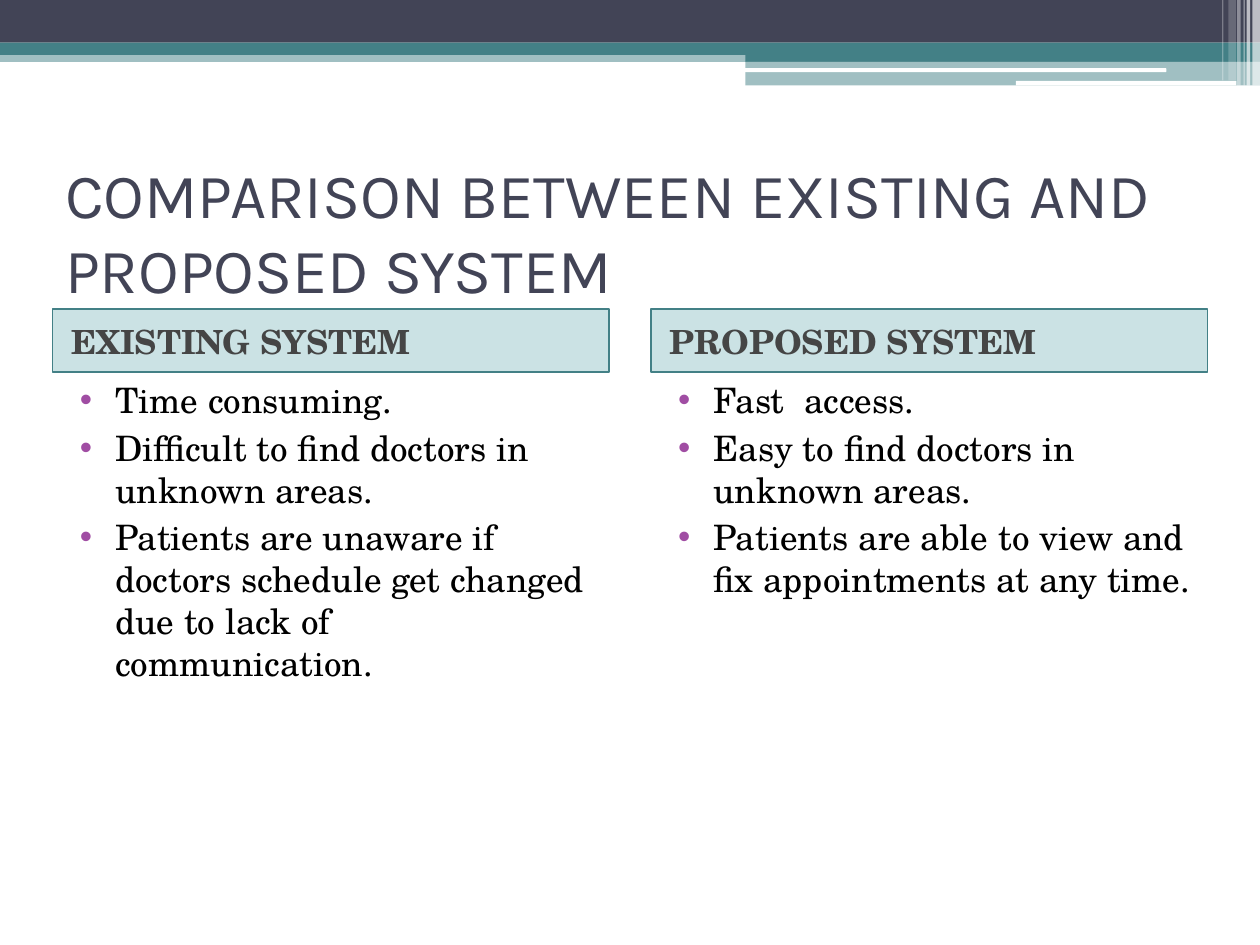
from lxml.etree import SubElement
from pptx import Presentation
from pptx.dml.color import RGBColor
from pptx.enum.shapes import MSO_SHAPE as Shape
from pptx.enum.text import MSO_ANCHOR as Anchor, MSO_AUTO_SIZE as AutoSize, PP_ALIGN as Align
from pptx.oxml.ns import qn
from pptx.util import Pt

NAVY = RGBColor(0x42, 0x44, 0x56)
TEAL = RGBColor(0x43, 0x80, 0x86)
AQUA = RGBColor(0x32, 0x8E, 0x97)
PURPLE = RGBColor(0xA0, 0x4D, 0xA3)
GRAY = RGBColor(0x45, 0x45, 0x45)
BLACK = RGBColor(0, 0, 0)
WHITE = RGBColor(255, 255, 255)
SERIF = "TeX Gyre Schola"


def add_bar(left, top, width, height, color, opacity=100, kind=Shape.RECTANGLE):
    bar = page.shapes.add_shape(kind, Pt(left), Pt(top), Pt(width), Pt(height))
    bar.shadow.inherit = False
    bar.fill.solid()
    bar.fill.fore_color.rgb = color
    bar.line.fill.background()
    if opacity < 100:
        tint = bar.element.spPr.find(qn("a:solidFill")).find(qn("a:srgbClr"))
        SubElement(tint, qn("a:alpha"), val=str(opacity * 1000))
    return bar


def write(box, lines, font=SERIF, size=20, color=BLACK, bold=False,
          anchor=Anchor.TOP, before=3, indent=0, hanging=0, bullet=None):
    frame = box.text_frame
    frame.word_wrap = True
    frame.auto_size = AutoSize.NONE
    frame.vertical_anchor = anchor
    for number, line in enumerate(lines):
        para = frame.add_paragraph() if number else frame.paragraphs[0]
        para.alignment = Align.LEFT
        para.space_before = Pt(before)
        props = para._p.get_or_add_pPr()
        props.set("marL", str(Pt(indent)))
        props.set("indent", str(Pt(-hanging)))
        if bullet:
            bullet_color = SubElement(props, qn("a:buClr"))
            SubElement(bullet_color, qn("a:srgbClr"), val=str(PURPLE))
            SubElement(props, qn("a:buFont"), typeface="Arial")
            SubElement(props, qn("a:buChar"), char=bullet)
        span = para.add_run()
        span.text = line
        span.font.name = font
        span.font.size = Pt(size)
        span.font.bold = bold
        span.font.color.rgb = color


deck = Presentation()
deck.slide_width, deck.slide_height = Pt(720), Pt(540)
page = deck.slides.add_slide(deck.slide_layouts[5])

# Header bands
for left, top, width, height, color, opacity in [
    (0, 28.8, 720, 6.6, TEAL, 50),
    (0, 0, 720, 24.4, NAVY, 100),
    (0, 24.4, 720, 7, TEAL, 100),
    (426, 28, 294, 7.2, TEAL, 100),
    (426, 34.8, 294, 14, TEAL, 50),
]:
    add_bar(left, top, width, height, color, opacity)

# White strips across the lower bands
for left, top, width, height in [(425.5, 39, 241, 2.2), (580.5, 46.2, 126, 2.6)]:
    add_bar(left, top, width, height, WHITE, kind=Shape.ROUNDED_RECTANGLE)

# Translucent stripes at the right edge
for left, width, height, opacity in [
    (715.7, 4.3, 49, 65),
    (712.4, 2, 49, 65),
    (710.6, 0.7, 49, 60),
    (707, 2, 49, 40),
    (702, 4.3, 46, 20),
    (698.4, 0.7, 46, 30),
]:
    add_bar(left, 0, width, height, WHITE, opacity)

# Title
title = page.shapes.title
title.left, title.top, title.width, title.height = Pt(30), Pt(90), Pt(660), Pt(84)
write(title, ["COMPARISON BETWEEN EXISTING AND PROPOSED SYSTEM"],
      font="Karla", size=36, color=NAVY, anchor=Anchor.MIDDLE, before=0)

# Two columns: heading bar and bullet list
columns = [
    ("EXISTING SYSTEM", [
        "Time consuming.",
        "Difficult to find doctors in unknown areas.",
        "Patients are unaware if doctors schedule get changed due to lack of communication.",
    ]),
    ("PROPOSED SYSTEM", [
        "Fast  access.",
        "Easy to find doctors in unknown areas.",
        "Patients are able to view and fix appointments at any time.",
    ]),
]
COLUMN_WIDTH, COLUMN_STEP = 318.2, 341.8
for column, (heading, points) in enumerate(columns):
    left = 30 + column * COLUMN_STEP
    header = add_bar(left, 176.8, COLUMN_WIDTH, 36, AQUA, 25)
    header.line.color.rgb = TEAL
    header.line.width = Pt(1)
    write(header, [heading], size=19, color=GRAY, bold=True,
          anchor=Anchor.MIDDLE, indent=3.6)
    box = page.shapes.add_textbox(Pt(left), Pt(213), Pt(COLUMN_WIDTH), Pt(306))
    write(box, points, indent=28.8, hanging=20.2, bullet="•")

deck.save("out.pptx")
